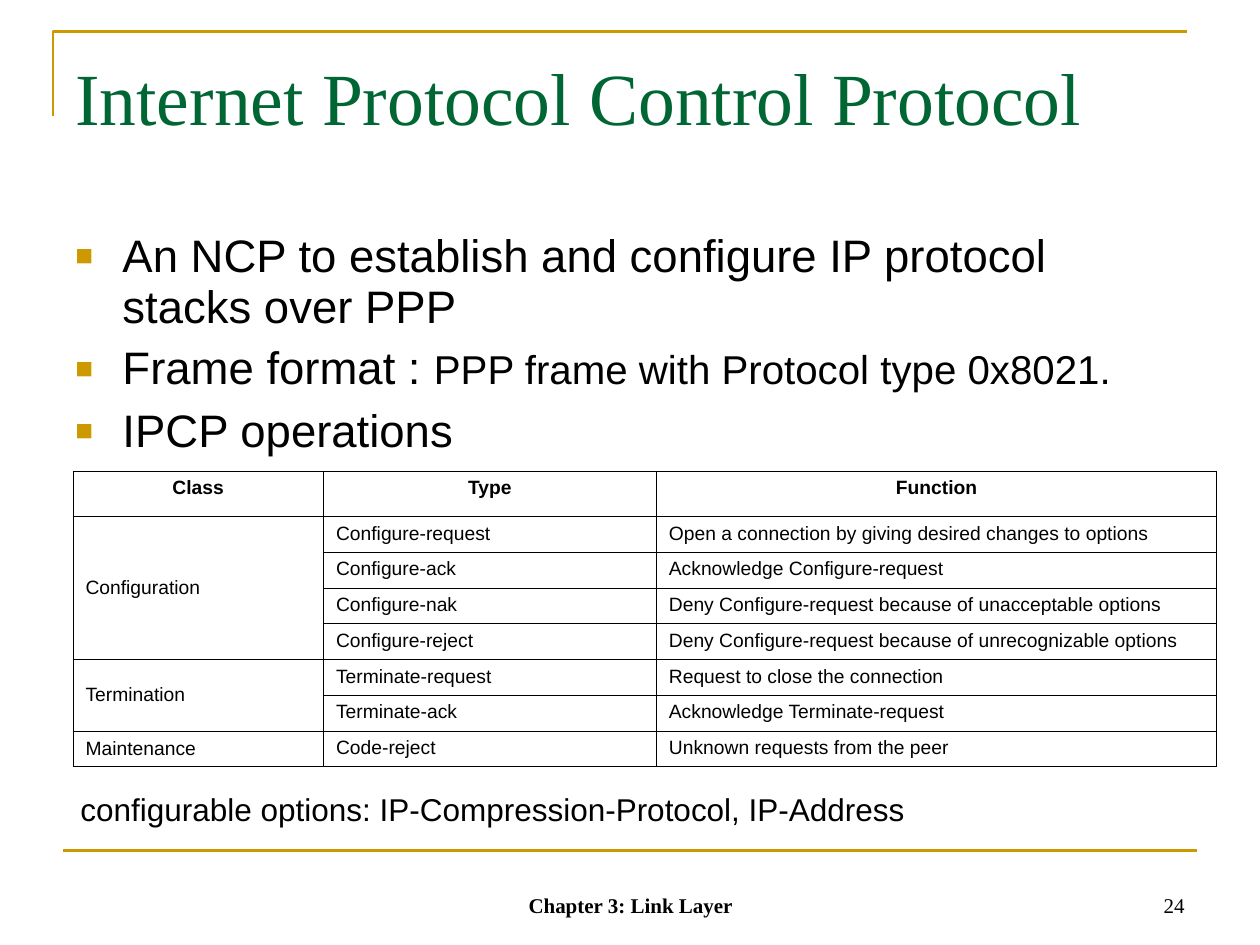
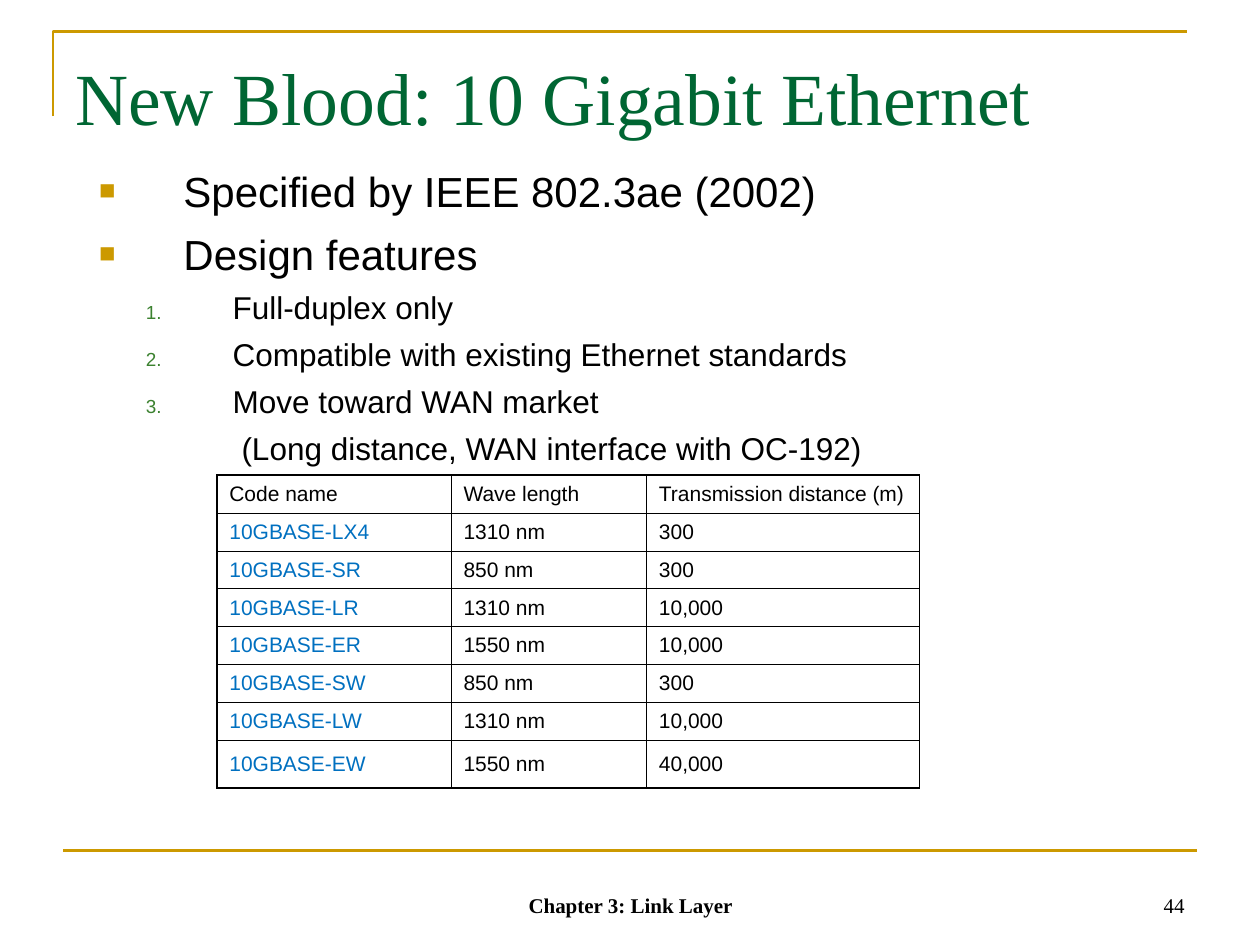
from lxml.etree import SubElement
from pptx import Presentation
from pptx.dml.color import RGBColor
from pptx.enum.shapes import MSO_CONNECTOR
from pptx.enum.text import MSO_ANCHOR, PP_ALIGN
from pptx.oxml.ns import qn
from pptx.util import Cm, Pt


class Theme:
    gold = "CC9900"
    green = "006633"
    leaf = "3B812F"
    blue = "0070C0"
    black = "000000"
    serif = "Times New Roman"
    sans = "Arial"
    title = 42
    lead = 26
    aside = 23
    point = 24
    sub = 18
    cell = 12
    small = 11
    foot = 12
    rule = 1.5
    thin = 0.45
    thick = 0.96


def write(para, text, size, color=Theme.black, face=Theme.sans, bold=False,
          align=PP_ALIGN.LEFT, before=0, left=0, hang=0, mark=None):
    """Fill one paragraph; mark is (tag, attribute, value, colour, percent)."""
    para.alignment = align
    para.space_before = Pt(before)
    props = para._p.get_or_add_pPr()
    props.set("marL", str(Cm(left)))
    props.set("indent", str(-Cm(hang)))
    if mark:
        tag, key, value, tint, scale = mark
        SubElement(SubElement(props, qn("a:buClr")), qn("a:srgbClr"), val=tint)
        SubElement(props, qn("a:buSzPct"), val=str(scale * 1000))
        SubElement(props, qn("a:buFont"), typeface=Theme.sans)
        SubElement(props, qn(tag), {key: value})
    else:
        SubElement(props, qn("a:buNone"))
    font = para.font
    font.name, font.size, font.bold = face, Pt(size), bold
    font.color.rgb = RGBColor.from_string(color)
    para.add_run().text = text


def grid(slide, left, top, widths, heights, edge):
    """Add a plain ruled table whose outer lines are edge points wide."""
    table = slide.shapes.add_table(
        len(heights), len(widths), Cm(left), Cm(top),
        Cm(sum(widths)), Cm(sum(heights))).table
    table.first_row = table.horz_banding = False
    for col, width in zip(table.columns, widths):
        col.width = Cm(width)
    for row, height in zip(table.rows, heights):
        row.height = Cm(height)
    for r in range(len(heights)):
        for c in range(len(widths)):
            cell = table.cell(r, c)
            props = cell._tc.get_or_add_tcPr()
            sides = {"L": c == 0, "R": c == len(widths) - 1,
                     "T": r == 0, "B": r == len(heights) - 1}
            for side, outer in sides.items():
                width = Pt(edge if outer else Theme.thin)
                line = SubElement(props, qn(f"a:ln{side}"), w=str(width))
                fill = SubElement(line, qn("a:solidFill"))
                SubElement(fill, qn("a:srgbClr"), val=Theme.black)
            cell.fill.background()
    return table


deck = Presentation()
deck.slide_width, deck.slide_height = Cm(25.4), Cm(19.05)
gold = RGBColor.from_string(Theme.gold)
square = ("a:buChar", "char", "■", Theme.gold, 65)
number = ("a:buAutoNum", "type", "arabicPeriod", Theme.leaf, 60)

# Shared frame, title, footer and body box; top is the body's upper inset
pages = [
    ("Internet Protocol Control Protocol", "24", (1.27, 4.45, 22.56, 5.03)),
    ("New Blood: 10 Gigabit Ethernet", "44", (1.75, 3.12, 22.94, 13.61)),
]
slides, bodies = [], []
for title, page, area in pages:
    slide = deck.slides.add_slide(deck.slide_layouts[6])
    shapes = slide.shapes
    pen = shapes.build_freeform(Cm(1.07), Cm(2.34))
    pen.add_line_segments([(Cm(1.07), Cm(0.64)), (Cm(23.93), Cm(0.64))], close=False)
    frame = pen.convert_to_shape()
    frame.shadow.inherit = False
    frame.fill.background()
    rule = shapes.add_connector(
        MSO_CONNECTOR.STRAIGHT, Cm(1.27), Cm(17.15), Cm(24.13), Cm(17.15))
    SubElement(rule._element.spPr, qn("a:effectLst"))
    for line in (frame.line, rule.line):
        line.color.rgb, line.width = gold, Pt(Theme.rule)

    serif = {"face": Theme.serif}
    boxes = [
        ((1.27, 0.76, 22.86, 3.18), 0.28, MSO_ANCHOR.TOP, title,
         {"size": Theme.title, "color": Theme.green, **serif}),
        (area, 0.21, MSO_ANCHOR.TOP, None, {}),
        ((18.21, 17.35, 5.92, 1.27), 0.13, MSO_ANCHOR.BOTTOM, page,
         {"size": Theme.foot, "align": PP_ALIGN.RIGHT, **serif}),
        ((8.69, 17.35, 8.05, 1.27), 0.13, MSO_ANCHOR.BOTTOM, "Chapter 3: Link Layer",
         {"size": Theme.foot, "align": PP_ALIGN.CENTER, "bold": True, **serif}),
    ]
    for place, top, anchor, text, style in boxes:
        box = shapes.add_textbox(*map(Cm, place)).text_frame
        box.word_wrap, box.vertical_anchor, box.margin_top = True, anchor, Cm(top)
        if text:
            write(box.paragraphs[0], text, **style)
        else:
            bodies.append(box)
    slides.append(slide)

# Slide 1: bullets
body = bodies[0]
leads = [("An NCP to establish and configure IP protocol stacks over PPP", 0),
         ("Frame format : ", 5.8),
         ("IPCP operations", 6.5)]
for i, (text, before) in enumerate(leads):
    para = body.add_paragraph() if i else body.paragraphs[0]
    para.line_spacing = 0.94
    write(para, text, Theme.lead, before=before, left=0.95, hang=0.95, mark=square)
aside = body.paragraphs[1].add_run()
aside.text = "PPP frame with Protocol type 0x8021."
aside.font.size = Pt(Theme.aside)

# Slide 1: table of operations
rows = [
    ("Class", "Type", "Function"),
    ("Configuration", "Configure-request",
     "Open a connection by giving desired changes to options"),
    ("", "Configure-ack", "Acknowledge Configure-request"),
    ("", "Configure-nak", "Deny Configure-request because of unacceptable options"),
    ("", "Configure-reject", "Deny Configure-request because of unrecognizable options"),
    ("Termination", "Terminate-request", "Request to close the connection"),
    ("", "Terminate-ack", "Acknowledge Terminate-request"),
    ("Maintenance", "Code-reject", "Unknown requests from the peer"),
]
table = grid(slides[0], 1.47, 9.5, (5.05, 6.71, 11.3), [0.91] + [0.72] * 7, Theme.thin)
for first, last in ((1, 4), (5, 6)):
    table.cell(first, 0).merge(table.cell(last, 0))
for r, row in enumerate(rows):
    for c, text in enumerate(row):
        if text:
            cell = table.cell(r, c)
            if r and c == 0:
                cell.vertical_anchor = MSO_ANCHOR.MIDDLE
            write(cell.text_frame.paragraphs[0], text, Theme.small, bold=r == 0,
                  align=PP_ALIGN.LEFT if r else PP_ALIGN.CENTER)

# Slide 1: note under the table
note = slides[0].shapes.add_textbox(Cm(1.37), Cm(15.8), Cm(21.21), Cm(1.02)).text_frame
note.word_wrap = True
write(note.paragraphs[0], "configurable options: IP-Compression-Protocol, IP-Address",
      Theme.sub)

# Slide 2: bullets and numbered features
body = bodies[1]
top = {"size": Theme.point, "left": 1.7, "hang": 1.7, "mark": square}
step = {"size": Theme.sub, "before": 5.3, "left": 2.69, "hang": 1.75, "mark": number}
points = [
    ("Specified by IEEE 802.3ae (2002)", top),
    ("Design features", {**top, "before": 7.2}),
    ("Full-duplex only", step),
    ("Compatible with existing Ethernet standards", step),
    ("Move toward WAN market", step),
    ("(Long distance, WAN interface with OC-192)",
     {"size": Theme.sub, "before": 5.3, "left": 2.87}),
]
for i, (text, style) in enumerate(points):
    para = body.add_paragraph() if i else body.paragraphs[0]
    para.level = int(style["size"] == Theme.sub)
    write(para, text, **style)

# Slide 2: table of code names
rows = [
    ("Code name", "Wave length", "Transmission distance (m)"),
    ("10GBASE-LX4", "1310 nm", "300"),
    ("10GBASE-SR", "850 nm", "300"),
    ("10GBASE-LR", "1310 nm", "10,000"),
    ("10GBASE-ER", "1550 nm", "10,000"),
    ("10GBASE-SW", "850 nm", "300"),
    ("10GBASE-LW", "1310 nm", "10,000"),
    ("10GBASE-EW", "1550 nm", "40,000"),
]
table = grid(slides[1], 4.37, 9.58, (4.72, 3.94, 5.51), [0.76] * 7 + [0.96], Theme.thick)
for r, row in enumerate(rows):
    for c, text in enumerate(row):
        cell = table.cell(r, c)
        cell.vertical_anchor = MSO_ANCHOR.MIDDLE
        write(cell.text_frame.paragraphs[0], text, Theme.cell,
              color=Theme.blue if r and c == 0 else Theme.black)

deck.save("out.pptx")
